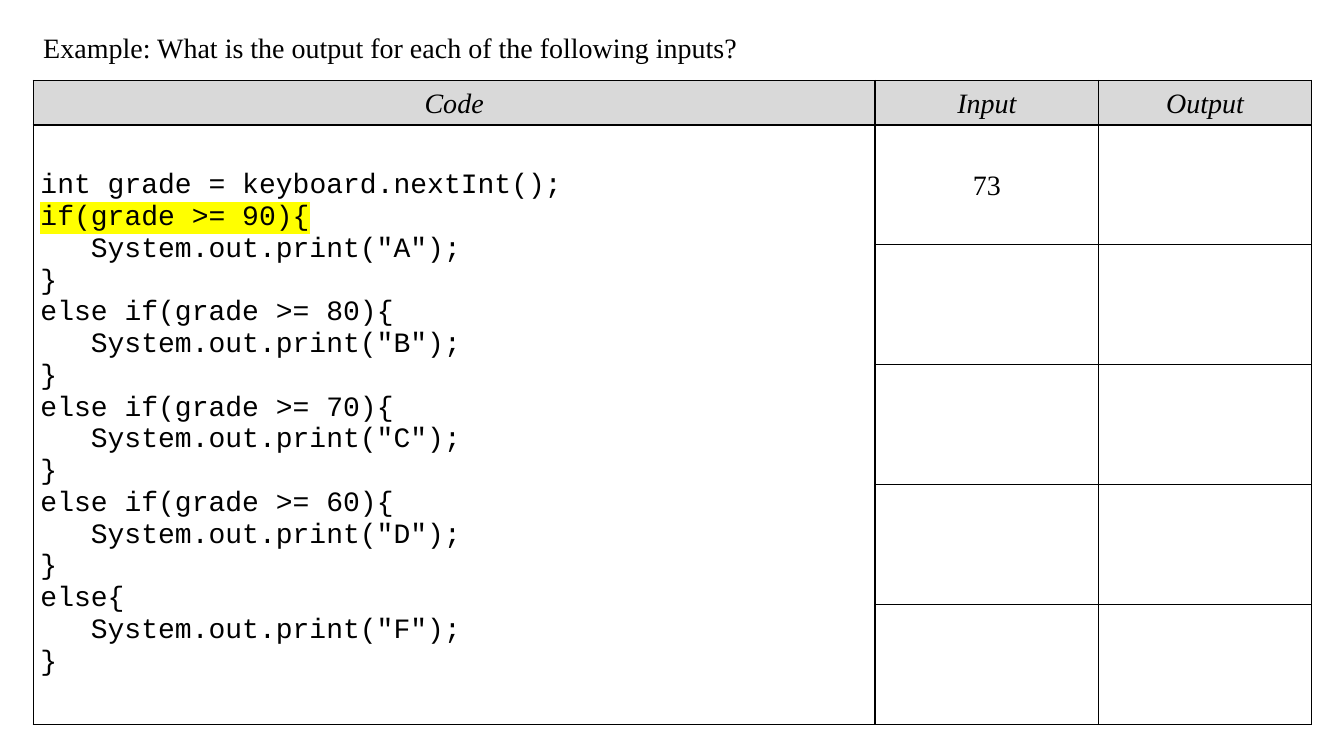
from lxml.etree import SubElement as Sub, Element
from pptx import Presentation
from pptx.dml.color import RGBColor as Rgb
from pptx.enum.text import MSO_ANCHOR as Anchor, MSO_AUTO_SIZE as Auto, PP_ALIGN as Align
from pptx.oxml.ns import qn
from pptx.util import Cm, Pt

COLORS = {"ink": "000000", "head": "D9D9D9", "mark": "FFFF00"}
SERIF, MONO = "Times New Roman", "Courier New"
HEADS = ["Code", "Input", "Output"]
WIDTHS = [21.21, 5.64, 5.36]
HEAD_H, ROW_H, ROWS = 1.12, 3.02, 5
GRADES = [("if(grade >= 90)", "A"), ("else if(grade >= 80)", "B"),
          ("else if(grade >= 70)", "C"), ("else if(grade >= 60)", "D"),
          ("else", "F")]
CODE = "\n".join(["int grade = keyboard.nextInt();"] + [
    f'{test}{{\n\tSystem.out.print("{mark}");\n}}' for test, mark in GRADES])


class Page:
    def __init__(self, slide, size=20):
        self.slide = slide
        self.size = size

    def style(self, frame, font, italic=False):
        for par in frame.paragraphs:
            for run in par.runs:
                run.font.size = Pt(self.size)
                run.font.name = font
                run.font.italic = italic
                run.font.color.rgb = Rgb.from_string(COLORS["ink"])

    def title(self, text, left, top, width, height):
        box = self.slide.shapes.add_textbox(Cm(left), Cm(top), Cm(width), Cm(height))
        frame = box.text_frame
        frame.word_wrap = True
        frame.auto_size = Auto.SHAPE_TO_FIT_TEXT
        frame.text = text
        self.style(frame, SERIF)

    def grid(self, left, top):
        """Add the empty, bordered table."""
        high = HEAD_H + ROWS * ROW_H
        table = self.slide.shapes.add_table(
            ROWS + 1, len(WIDTHS), Cm(left), Cm(top), Cm(sum(WIDTHS)), Cm(high)).table
        table.first_row = table.horz_banding = False
        for col, width in zip(table.columns, WIDTHS):
            col.width = Cm(width)
        for i, row in enumerate(table.rows):
            row.height = Cm(ROW_H if i else HEAD_H)
            for cell in row.cells:
                self.frame(cell)
        return table

    def frame(self, cell):
        """Set margins, borders and no fill."""
        cell.margin_left = cell.margin_right = Cm(0.18)
        cell.margin_top = cell.margin_bottom = 0
        cell.vertical_anchor = Anchor.MIDDLE
        props = cell._tc.get_or_add_tcPr()
        for side in ("lnL", "lnR", "lnT", "lnB"):
            line = Sub(props, qn(f"a:{side}"), w=str(Pt(1)))
            fill = Sub(line, qn("a:solidFill"))
            Sub(fill, qn("a:srgbClr"), val=COLORS["ink"])
        cell.fill.background()

    def label(self, cell, text, italic=False):
        cell.text_frame.text = text
        par = cell.text_frame.paragraphs[0]
        par.alignment = Align.CENTER
        par.line_spacing = 1.07
        par.space_after = Pt(8)
        self.style(cell.text_frame, SERIF, italic)

    def head(self, cell, text):
        self.label(cell, text, italic=True)
        cell.fill.solid()
        cell.fill.fore_color.rgb = Rgb.from_string(COLORS["head"])

    def code(self, cell, text, line):
        """Write the code and highlight one line of it."""
        cell.text_frame.text = text
        self.style(cell.text_frame, MONO)
        run = cell.text_frame.paragraphs[line].runs[0]
        light = Element(qn("a:highlight"))
        Sub(light, qn("a:srgbClr"), val=COLORS["mark"])
        run._r.rPr.find(qn("a:solidFill")).addnext(light)


def main():
    deck = Presentation()
    deck.slide_width, deck.slide_height = Cm(33.87), Cm(19.05)
    page = Page(deck.slides.add_slide(deck.slide_layouts[6]))
    page.title("Example: What is the output for each of the following inputs?",
               0.84, 0.64, 20.45, 1.12)
    table = page.grid(0.84, 2.03)
    for col, text in enumerate(HEADS):
        page.head(table.cell(0, col), text)
    table.cell(1, 0).merge(table.cell(ROWS, 0))
    page.code(table.cell(1, 0), CODE, line=1)
    page.label(table.cell(1, 1), "73")
    deck.save("out.pptx")


if __name__ == "__main__":
    main()
